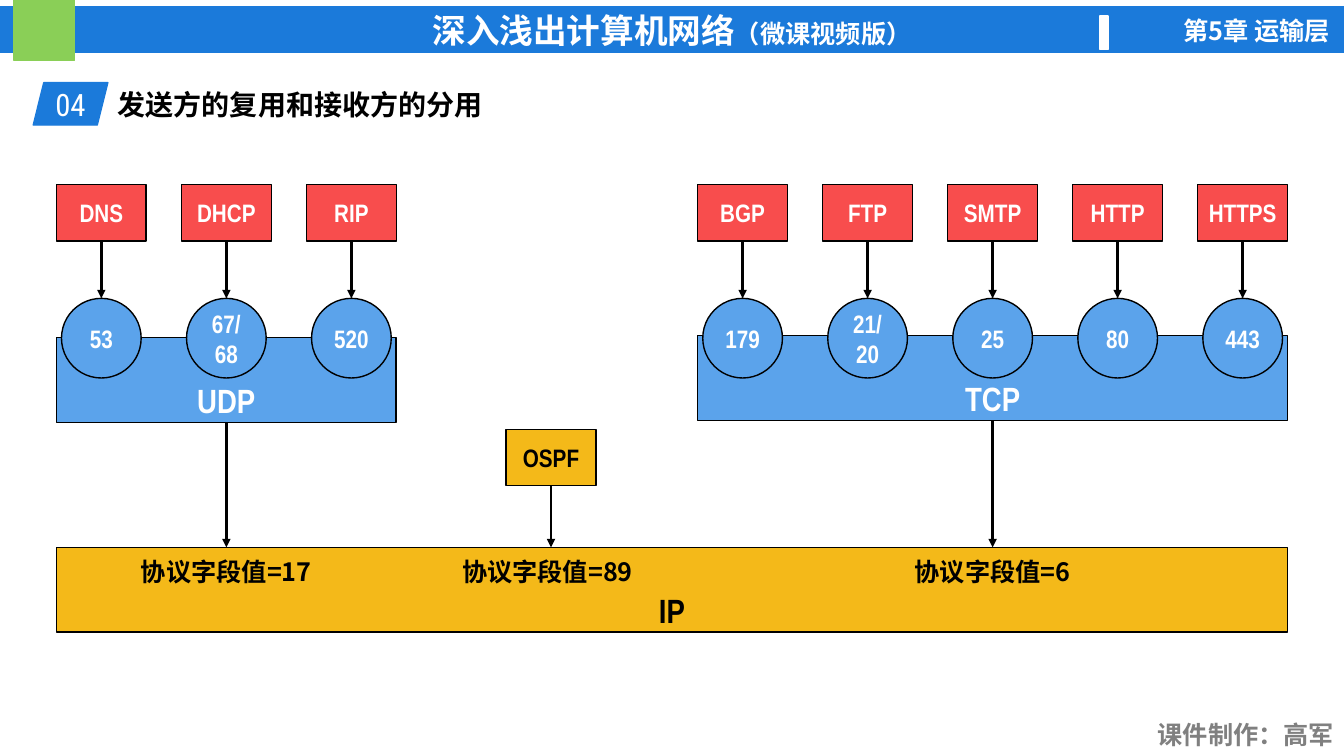
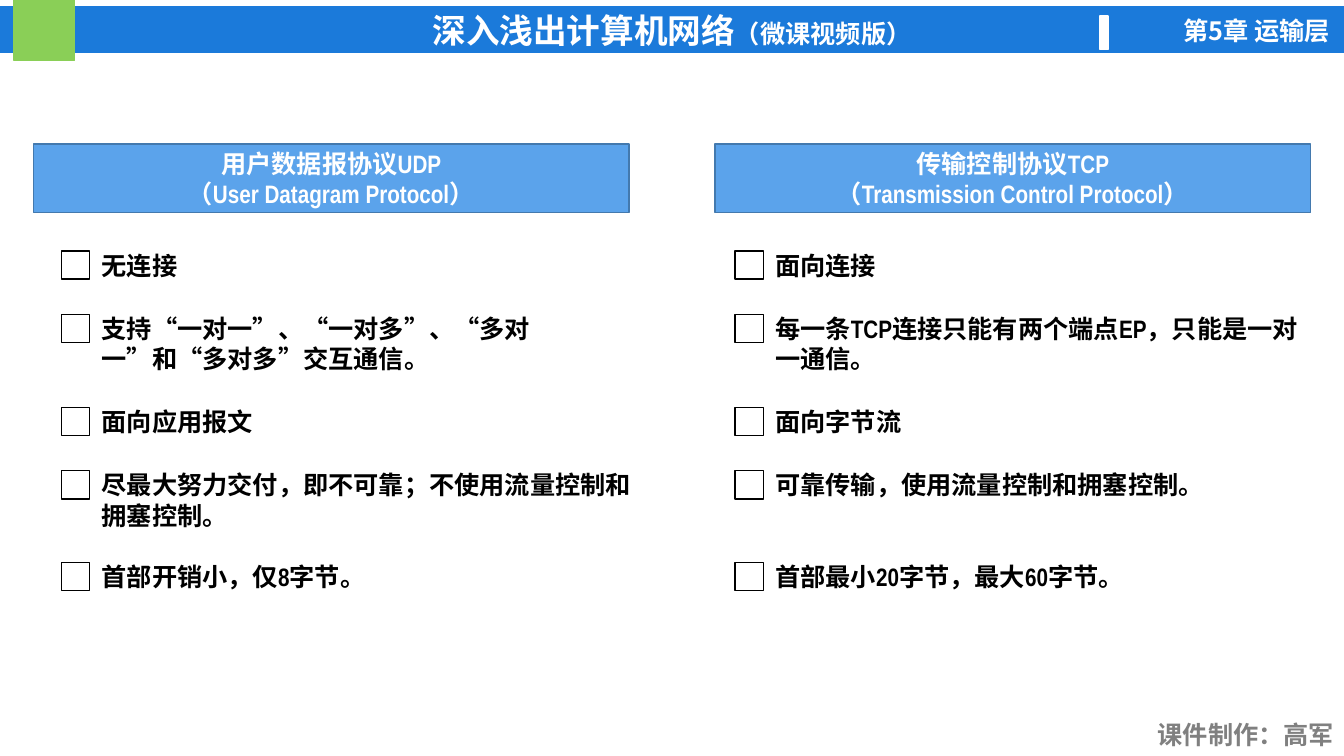
from dataclasses import dataclass
from itertools import accumulate

from lxml import etree
from pptx import Presentation
from pptx.dml.color import RGBColor
from pptx.enum.lang import MSO_LANGUAGE_ID
from pptx.enum.shapes import MSO_CONNECTOR, MSO_SHAPE
from pptx.enum.text import MSO_ANCHOR, PP_ALIGN
from pptx.oxml.ns import qn
from pptx.shapes.autoshape import Shape
from pptx.slide import Slide
from pptx.util import Inches, Pt

RECT, OVAL, SLANTED = MSO_SHAPE.RECTANGLE, MSO_SHAPE.OVAL, MSO_SHAPE.PARALLELOGRAM
STRAIGHT = MSO_CONNECTOR.STRAIGHT
TOP, MIDDLE, BOTTOM = MSO_ANCHOR.TOP, MSO_ANCHOR.MIDDLE, MSO_ANCHOR.BOTTOM
LEFT, CENTER, RIGHT = PP_ALIGN.LEFT, PP_ALIGN.CENTER, PP_ALIGN.RIGHT
CHINESE = MSO_LANGUAGE_ID.SIMPLIFIED_CHINESE
TOP_SITE, BOTTOM_SITE = 0, 2

WHITE = RGBColor(0xFF, 0xFF, 0xFF)
BLACK = RGBColor(0x00, 0x00, 0x00)
GREY = RGBColor(0x80, 0x80, 0x80)
BLUE = RGBColor(0x1B, 0x7A, 0xDA)
LIGHT_BLUE = RGBColor(0x5B, 0xA3, 0xEB)
EDGE_BLUE = RGBColor(0x43, 0x79, 0xAE)
GREEN = RGBColor(0x8A, 0xCF, 0x57)
RED = RGBColor(0xF8, 0x4D, 0x4D)
AMBER = RGBColor(0xF4, 0xB9, 0x19)

NARROW, CJK, CONDENSED = "Arial Narrow", "Noto Sans CJK SC", "Roboto Condensed"

SLIDE_W, SLIDE_H = 13.33, 7.5

# Diagram grid
GRID_LEFT, PITCH = 0.56, 1.24
APP_TOP, APP_W, APP_H = 1.83, 0.89, 0.56
PORT_TOP, PORT_SIZE = 2.96, 0.79
LAYER_H = 0.84
IP_TOP, IP_W = 5.43, 12.21
FIELD_TOP, FIELD_H = 5.47, 0.4

# Comparison grid
ROW_TOP, ROW_GAP = 2.4, 0.17
ROW_HEIGHTS = (0.46, 0.75, 0.46, 0.74, 0.46)
ROW_TOPS = tuple(accumulate((h + ROW_GAP for h in ROW_HEIGHTS[:-1]), initial=ROW_TOP))
HEADING_TOP, HEADING_W, HEADING_H = 1.43, 5.91, 0.68
CHECK_SIZE, CHECK_DROP = 0.28, 0.09
POINT_INDENT, POINT_W = 0.3, 5.61


@dataclass(frozen=True)
class Box:
    left: float
    top: float
    width: float
    height: float

    @property
    def center(self) -> float:
        return self.left + self.width / 2

    @property
    def bottom(self) -> float:
        return self.top + self.height

    def emu(self) -> tuple[int, ...]:
        return tuple(Inches(v) for v in (self.left, self.top, self.width, self.height))


@dataclass(frozen=True)
class TextStyle:
    size: float = 18
    color: RGBColor = WHITE
    font: str = NARROW
    bold: bool = True
    align: PP_ALIGN = CENTER
    anchor: MSO_ANCHOR = MIDDLE
    inset_x: float = 0
    inset_y: float = 0


@dataclass(frozen=True)
class App:
    name: str
    port: str


@dataclass(frozen=True)
class Transport:
    name: str
    left: float
    top: float
    field_value: str
    apps: tuple[App, ...]

    @property
    def box(self) -> Box:
        width = (len(self.apps) - 1) * PITCH + APP_W
        return Box(self.left, self.top, width, LAYER_H)


@dataclass(frozen=True)
class Comparison:
    heading: str
    heading_left: float
    check_left: float
    points: tuple[str, ...]


LABEL = TextStyle()
DARK_LABEL = TextStyle(color=BLACK)
BAND_TITLE = TextStyle(size=24)
LAYER = TextStyle(size=24, anchor=BOTTOM, inset_y=0.02)
DARK_LAYER = TextStyle(size=24, color=BLACK, anchor=BOTTOM, inset_y=0.02)
CHAPTER = TextStyle(font=CJK, align=RIGHT, anchor=TOP, inset_x=0.1, inset_y=0.05)
CREDIT = TextStyle(color=GREY, align=RIGHT, anchor=TOP, inset_x=0.1, inset_y=0.05)
FIELD = TextStyle(color=BLACK, font=CJK, anchor=TOP, inset_y=0.05)
SECTION_NUMBER = TextStyle(size=22, font=CONDENSED, bold=False)
SECTION_TITLE = TextStyle(size=20, color=BLACK, align=LEFT, anchor=TOP,
                          inset_x=0.1, inset_y=0.05)
POINT = TextStyle(color=BLACK, align=LEFT, anchor=TOP, inset_x=0.1, inset_y=0.08)

TRANSPORTS = (
    Transport("TCP", 6.92, 3.33, "6", (
        App("BGP", "179"), App("FTP", "21/\n20"), App("SMTP", "25"),
        App("HTTP", "80"), App("HTTPS", "443"))),
    Transport("UDP", GRID_LEFT, 3.35, "17", (
        App("DNS", "53"), App("DHCP", "67/\n68"), App("RIP", "520"))),
)

COMPARISONS = (
    Comparison("用户数据报协议UDP\n（User Datagram Protocol）", 0.33, 0.61, (
        "无连接",
        "支持“一对一”、“一对多”、“多对一”和“多对多”交互通信。",
        "面向应用报文",
        "尽最大努力交付，即不可靠；不使用流量控制和拥塞控制。",
        "首部开销小，仅8字节。")),
    Comparison("传输控制协议TCP\n（Transmission Control Protocol）", 7.09, 7.29, (
        "面向连接",
        "每一条TCP连接只能有两个端点EP，只能是一对一通信。",
        "面向字节流",
        "可靠传输，使用流量控制和拥塞控制。",
        "首部最小20字节，最大60字节。")),
)


def write(shape: Shape, text: str, style: TextStyle) -> None:
    frame = shape.text_frame
    frame.word_wrap = True
    frame.vertical_anchor = style.anchor
    frame.margin_left = frame.margin_right = Inches(style.inset_x)
    frame.margin_top = frame.margin_bottom = Inches(style.inset_y)
    frame.text = text
    for paragraph in frame.paragraphs:
        paragraph.alignment = style.align
        font = paragraph.font
        font.name, font.size, font.bold = style.font, Pt(style.size), style.bold
        font.color.rgb = style.color
        latin = paragraph._p.pPr.find(qn("a:defRPr")).find(qn("a:latin"))
        east_asian = etree.Element(qn("a:ea"), typeface=CJK)
        latin.addnext(east_asian)
        for run in paragraph.runs:
            run.font.language_id = CHINESE


def add_box(slide: Slide, box: Box, fill: RGBColor | None, line: RGBColor,
            text: str = "", style: TextStyle = LABEL, kind: MSO_SHAPE = RECT) -> Shape:
    shape = slide.shapes.add_shape(kind, *box.emu())
    shape.shadow.inherit = False
    if fill is None:
        shape.fill.background()
    else:
        shape.fill.solid()
        shape.fill.fore_color.rgb = fill
    shape.line.color.rgb = line
    shape.line.width = Pt(1)
    if text:
        write(shape, text, style)
    return shape


def add_text(slide: Slide, box: Box, text: str, style: TextStyle) -> None:
    write(slide.shapes.add_textbox(*box.emu()), text, style)


def add_arrow(slide: Slide, x: float, top: float, bottom: float,
              source: Shape, target: Shape | None = None) -> None:
    """Draw a downward arrow joined to its source and, if given, its target."""
    arrow = slide.shapes.add_connector(
        STRAIGHT, Inches(x), Inches(top), Inches(x), Inches(bottom))
    arrow.begin_connect(source, BOTTOM_SITE)
    if target is not None:
        arrow.end_connect(target, TOP_SITE)
    arrow.line.color.rgb = BLACK
    arrow.line.width = Pt(2)
    etree.SubElement(arrow.line._get_or_add_ln(), qn("a:tailEnd"), type="triangle")
    etree.SubElement(arrow._element.spPr, qn("a:effectLst"))


def add_course_slide(deck: Presentation) -> Slide:
    """Add a blank slide with the course band, chapter and credit."""
    slide = deck.slides.add_slide(deck.slide_layouts[6])
    band = add_box(slide, Box(0, 0.07, SLIDE_W, 0.45), BLUE, BLUE,
                   "深入浅出计算机网络", BAND_TITLE)
    edition = band.text_frame.paragraphs[0].add_run()
    edition.text = "（微课视频版）"
    edition.font.size = Pt(18)
    edition.font.language_id = CHINESE
    add_box(slide, Box(0.14, 0, 0.6, 0.6), GREEN, GREEN)
    add_box(slide, Box(10.91, 0.16, 0.08, 0.33), WHITE, WHITE)
    add_text(slide, Box(11.11, 0.1, 2.18, 0.4), "第5章 运输层", CHAPTER)
    add_text(slide, Box(11.15, 7.09, 2.18, 0.4), "课件制作：高军", CREDIT)
    return slide


def draw_transport(slide: Slide, transport: Transport) -> None:
    box = transport.box
    layer = add_box(slide, box, LIGHT_BLUE, BLACK, transport.name, LAYER)
    for column, app in enumerate(transport.apps):
        app_box = Box(box.left + column * PITCH, APP_TOP, APP_W, APP_H)
        port_box = Box(app_box.center - PORT_SIZE / 2, PORT_TOP, PORT_SIZE, PORT_SIZE)
        sender = add_box(slide, app_box, RED, BLACK, app.name)
        port = add_box(slide, port_box, LIGHT_BLUE, BLACK, app.port, kind=OVAL)
        add_arrow(slide, app_box.center, app_box.bottom, PORT_TOP, sender, port)
    add_arrow(slide, box.center, box.bottom, IP_TOP, layer)
    add_text(slide, Box(box.left, FIELD_TOP, box.width, FIELD_H),
             f"协议字段值={transport.field_value}", FIELD)


def build_multiplexing(deck: Presentation) -> None:
    slide = add_course_slide(deck)
    add_box(slide, Box(0.33, 0.82, 0.74, 0.42), BLUE, BLUE, "04", SECTION_NUMBER, SLANTED)
    add_text(slide, Box(1.07, 0.82, 6.03, 0.44), "发送方的复用和接收方的分用", SECTION_TITLE)
    add_box(slide, Box(GRID_LEFT, IP_TOP, IP_W, LAYER_H), AMBER, BLACK, "IP", DARK_LAYER)
    for transport in TRANSPORTS:
        draw_transport(slide, transport)
    ospf_box = Box(5.02, 4.26, APP_W, APP_H)
    ospf = add_box(slide, ospf_box, AMBER, BLACK, "OSPF", DARK_LABEL)
    add_arrow(slide, ospf_box.center, ospf_box.bottom, IP_TOP, ospf)
    add_text(slide, Box(4.42, FIELD_TOP, 2.02, FIELD_H), "协议字段值=89", FIELD)


def build_comparison(deck: Presentation) -> None:
    slide = add_course_slide(deck)
    for side in COMPARISONS:
        add_box(slide, Box(side.heading_left, HEADING_TOP, HEADING_W, HEADING_H),
                LIGHT_BLUE, EDGE_BLUE, side.heading)
        for top, height, point in zip(ROW_TOPS, ROW_HEIGHTS, side.points):
            add_box(slide, Box(side.check_left, top + CHECK_DROP, CHECK_SIZE, CHECK_SIZE),
                    None, BLACK)
            add_text(slide, Box(side.check_left + POINT_INDENT, top, POINT_W, height),
                     point, POINT)


def main() -> None:
    deck = Presentation()
    deck.slide_width, deck.slide_height = Inches(SLIDE_W), Inches(SLIDE_H)
    build_multiplexing(deck)
    build_comparison(deck)
    deck.save("out.pptx")


if __name__ == "__main__":
    main()
